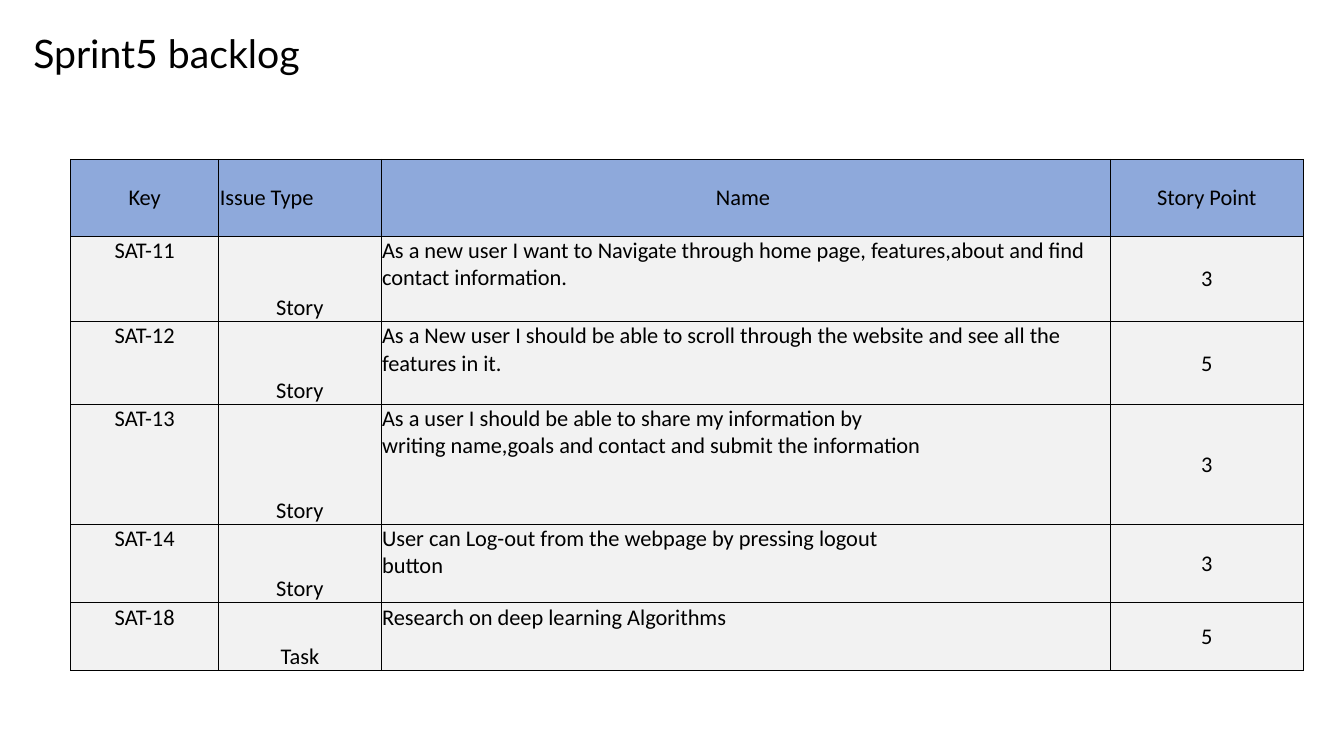
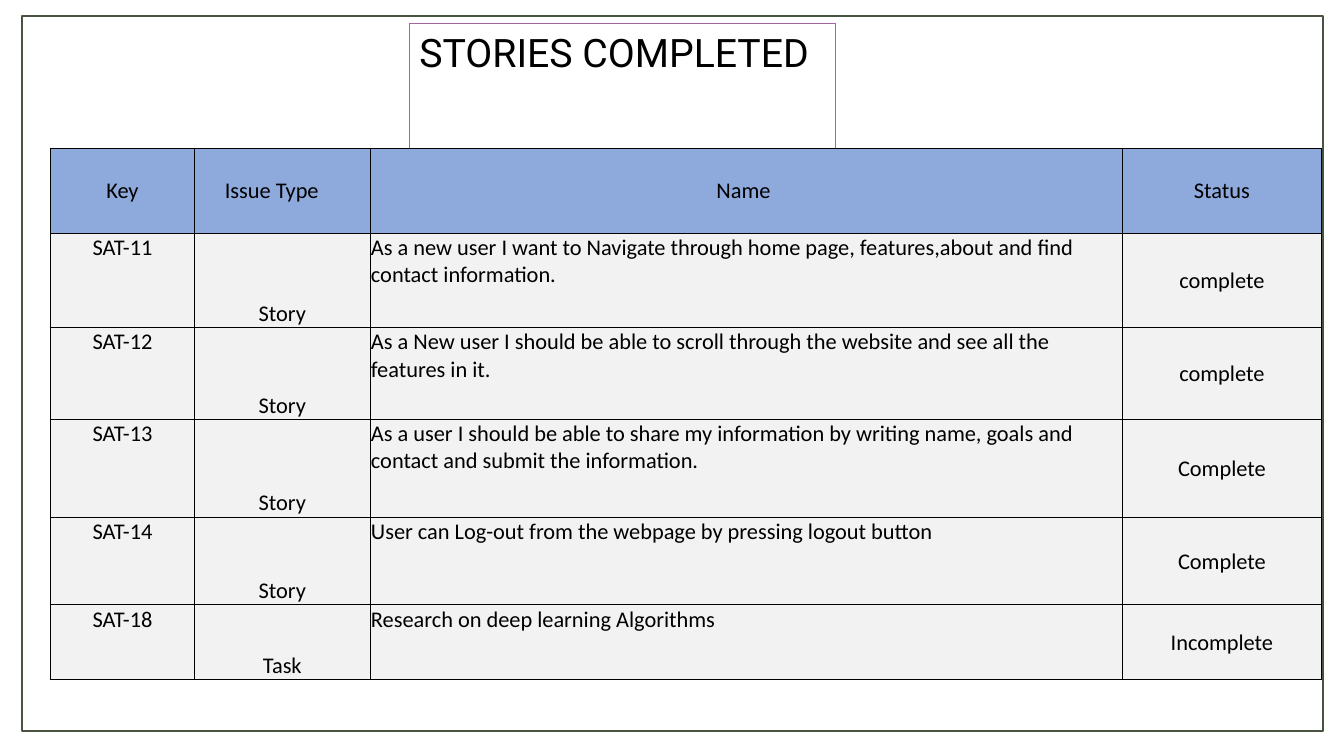
from lxml import etree
from pptx import Presentation
from pptx.dml.color import RGBColor
from pptx.enum.shapes import MSO_SHAPE
from pptx.enum.text import MSO_ANCHOR, MSO_AUTO_SIZE, PP_ALIGN
from pptx.oxml.ns import qn
from pptx.util import Emu, Pt

TOP, MIDDLE, BOTTOM = MSO_ANCHOR.TOP, MSO_ANCHOR.MIDDLE, MSO_ANCHOR.BOTTOM
LEFT, CENTER = PP_ALIGN.LEFT, PP_ALIGN.CENTER
RECTANGLE = MSO_SHAPE.RECTANGLE
FIT_SHAPE = MSO_AUTO_SIZE.SHAPE_TO_FIT_TEXT
TITLE_ONLY = 5

BLACK, HEADER_BLUE, ROW_GREY = "000000", "8EA9DB", "F2F2F2"
TITLE_PURPLE, FRAME_GREEN = "A466A1", "485441"
TABLE_FONT = "Calibri"

# (key, issue type, name)
ISSUES = [
    ("SAT-11", "Story", "As a new user I want to Navigate through home page, "
                        "features,about and find contact information."),
    ("SAT-12", "Story", "As a New user I should be able to scroll through the website "
                        "and see all the features in it."),
    ("SAT-13", "Story", "As a user I should be able to share my information by writing "
                        "name, goals and contact and submit the information."),
    ("SAT-14", "Story", "User can Log-out from the webpage by pressing logout button"),
    ("SAT-18", "Task", "Research on deep learning Algorithms"),
]
# (alignment, anchor) of each column below the header
COLUMN_STYLES = [(CENTER, TOP), (CENTER, BOTTOM), (LEFT, TOP), (CENTER, MIDDLE)]
HEADER_ALIGNMENTS = [CENTER, LEFT, CENTER, CENTER]

SLIDES = [
    {
        "title": "Sprint5 backlog", "title_font": "Lato",
        "title_box": (23, 24, 473, 57), "title_line": None, "frame": None,
        "table_at": (70, 158), "columns": [147, 161, 723, 192],
        "rows": [76, 85, 82, 119, 78, 67], "type_indent": 1,
        "last_header": "Story Point", "last_column": ["3", "5", "3", "3", "5"],
        # \v is a line break inside the paragraph
        "rewordings": {
            "SAT-13": "As a user I should be able to share my information by\v"
                      "writing name,goals and contact and submit the information",
            "SAT-14": "User can Log-out from the webpage by pressing logout\vbutton",
        },
    },
    {
        "title": "STORIES COMPLETED", "title_font": "Roboto",
        "title_box": (406, 23, 423, 59), "title_line": TITLE_PURPLE,
        "frame": (22, 16, 1290, 709),
        "table_at": (50, 147), "columns": [143, 174, 746, 198],
        "rows": [84, 94, 91, 97, 87, 74], "type_indent": 30,
        "last_header": "Status",
        "last_column": ["complete", "complete", "Complete", "Complete", "Incomplete"],
        "rewordings": {},
    },
]


def px(length):
    """Convert px (100 to the inch) to EMU."""
    return Emu(length * 9144)


def color(hex_string):
    return RGBColor.from_string(hex_string)


def set_line(shape, hex_string, width):
    shape.line.color.rgb = color(hex_string)
    shape.line.width = Pt(width)


def style_text(paragraph, font_name, size, alignment):
    paragraph.alignment = alignment
    paragraph.font.name = font_name
    paragraph.font.size = Pt(size)
    paragraph.font.color.rgb = color(BLACK)


def add_title(slide, data):
    title = slide.shapes.title
    title.left, title.top, title.width, title.height = map(px, data["title_box"])
    frame = title.text_frame
    frame.text = data["title"]
    frame.word_wrap = True
    frame.auto_size = FIT_SHAPE
    frame.vertical_anchor = TOP
    style_text(frame.paragraphs[0], data["title_font"], 28, LEFT)
    if data["title_line"]:
        set_line(title, data["title_line"], 0.75)


def add_borders(cell):
    properties = cell._tc.get_or_add_tcPr()
    for side in ("a:lnL", "a:lnR", "a:lnT", "a:lnB"):
        line = etree.SubElement(properties, qn(side), w=str(Pt(0.5)))
        fill = etree.SubElement(line, qn("a:solidFill"))
        etree.SubElement(fill, qn("a:srgbClr"), val=BLACK)


def fill_cell(cell, text, fill, alignment, anchor, indent=1):
    add_borders(cell)
    cell.fill.solid()
    cell.fill.fore_color.rgb = color(fill)
    cell.margin_left, cell.margin_top = px(indent), px(1)
    cell.margin_right, cell.margin_bottom = px(1), px(0)
    cell.vertical_anchor = anchor
    cell.text = text
    style_text(cell.text_frame.paragraphs[0], TABLE_FONT, 16, alignment)


def add_issue_table(slide, data):
    columns, rows = data["columns"], data["rows"]
    left, top = data["table_at"]
    table = slide.shapes.add_table(len(rows), len(columns), px(left), px(top),
                                   px(sum(columns)), px(sum(rows))).table
    for column, width in zip(table.columns, columns):
        column.width = px(width)
    for row, height in zip(table.rows, rows):
        row.height = px(height)

    headers = ["Key", "Issue Type", "Name ", data["last_header"]]
    indents = [1, data["type_indent"], 1, 1]
    for index, (text, alignment, indent) in enumerate(
            zip(headers, HEADER_ALIGNMENTS, indents)):
        fill_cell(table.cell(0, index), text, HEADER_BLUE, alignment, MIDDLE, indent)

    for row, ((key, issue_type, name), last) in enumerate(
            zip(ISSUES, data["last_column"]), start=1):
        texts = [key, issue_type, data["rewordings"].get(key, name), last]
        for index, (text, style) in enumerate(zip(texts, COLUMN_STYLES)):
            fill_cell(table.cell(row, index), text, ROW_GREY, *style)


def add_frame(slide, box):
    frame = slide.shapes.add_shape(RECTANGLE, *map(px, box))
    frame.shadow.inherit = False
    frame.fill.background()
    set_line(frame, FRAME_GREEN, 1.5)


def main():
    presentation = Presentation()
    presentation.slide_width, presentation.slide_height = px(1333), px(750)
    for data in SLIDES:
        slide = presentation.slides.add_slide(presentation.slide_layouts[TITLE_ONLY])
        add_title(slide, data)
        add_issue_table(slide, data)
        if data["frame"]:
            add_frame(slide, data["frame"])
    presentation.save("out.pptx")


if __name__ == "__main__":
    main()
